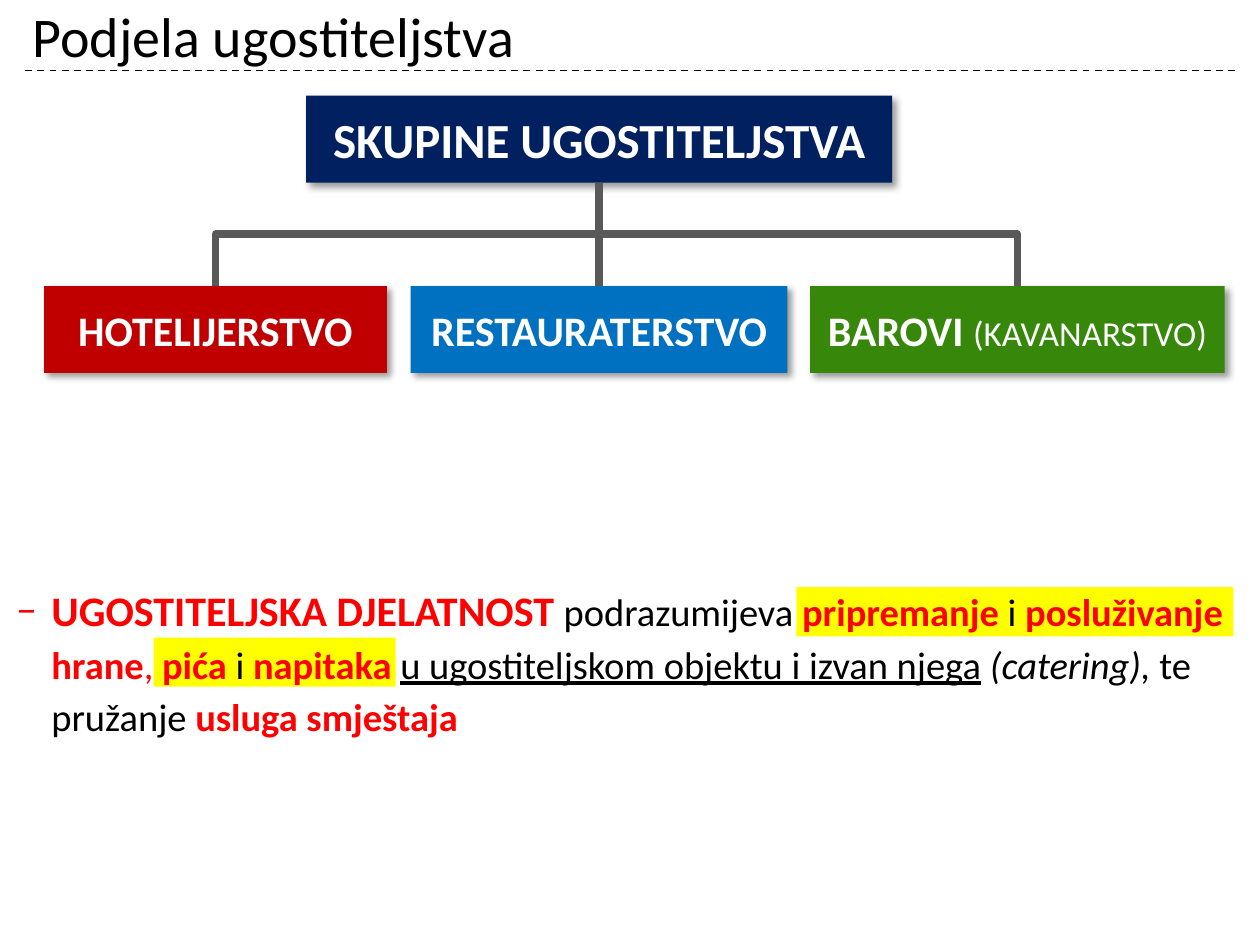
from lxml import etree
from pptx import Presentation
from pptx.dml.color import RGBColor
from pptx.enum.dml import MSO_LINE
from pptx.enum.shapes import MSO_CONNECTOR, MSO_SHAPE
from pptx.enum.text import MSO_ANCHOR, PP_ALIGN
from pptx.oxml.ns import qn
from pptx.util import Inches, Pt

THEME = {
    "font": "Calibri",
    "black": "000000", "white": "FFFFFF", "red": "FF0000",
    "highlight": "FFFF00", "connector": "595959",
    "navy": "002060", "crimson": "C00000", "blue": "0070C0", "green": "37870B",
    "title": 32, "root": 28, "large": 24, "body": 22, "small": 20,
}

TITLE = [("Podjela ugostiteljstva", "title", "black", "")]

# Left, width, fill, runs (text, size, colour, style letters b/i/u)
BOX_HEIGHT = 0.69
ROOT_TOP, GROUP_TOP = 0.76, 2.27
ROOT = (2.43, 4.65, "navy", [("SKUPINE UGOSTITELJSTVA", "root", "white", "b")])
GROUPS = [
    (0.35, 2.72, "crimson", [("HOTELIJERSTVO", "large", "white", "b")]),
    (3.26, 2.99, "blue", [("RESTAURATERSTVO", "large", "white", "b")]),
    (6.43, 3.29, "green", [("BAROVI ", "large", "white", "b"),
                           ("(KAVANARSTVO)", "small", "white", "")]),
]

HIGHLIGHTS = [(6.32, 4.66, 3.47, 0.39), (1.22, 5.06, 1.92, 0.39)]

DEFINITION = [
    ("UGOSTITELJSKA DJELATNOST ", "large", "red", "b"),
    ("podrazumijeva ", "body", "black", ""),
    ("pripremanje", "body", "red", "b"),
    (" i ", "body", "black", ""),
    ("posluživanje hrane", "body", "red", "b"),
    (", ", "body", "red", ""),
    ("pića ", "body", "red", "b"),
    ("i ", "body", "black", ""),
    ("napitaka ", "body", "red", "b"),
    ("u ugostiteljskom objektu i izvan njega", "body", "black", "u"),
    (" ", "body", "black", ""),
    ("(catering), ", "body", "black", "i"),
    ("te pružanje ", "body", "black", ""),
    ("usluga smještaja", "body", "red", "b"),
]


def color(name):
    return RGBColor.from_string(THEME[name])


def add_runs(paragraph, runs):
    for text, size, color_name, style in runs:
        run = paragraph.add_run()
        run.text = text
        font = run.font
        font.name = THEME["font"]
        font.size = Pt(THEME[size])
        font.color.rgb = color(color_name)
        font.bold = "b" in style
        font.italic = "i" in style
        font.underline = "u" in style


def add_text(slide, left, top, width, height, runs, anchor):
    text_box = slide.shapes.add_textbox(*map(Inches, (left, top, width, height)))
    text_frame = text_box.text_frame
    text_frame.word_wrap = True
    text_frame.vertical_anchor = anchor
    add_runs(text_frame.paragraphs[0], runs)
    return text_frame.paragraphs[0]


def add_rectangle(slide, left, top, width, height, fill):
    shape = slide.shapes.add_shape(
        MSO_SHAPE.RECTANGLE, *map(Inches, (left, top, width, height)))
    shape.shadow.inherit = False
    shape.fill.solid()
    shape.fill.fore_color.rgb = color(fill)
    shape.line.fill.background()
    return shape


def add_drop_shadow(shape):
    effects = shape._element.spPr.find(qn("a:effectLst"))
    shadow = etree.SubElement(
        effects, qn("a:outerShdw"), blurRad=str(Pt(4)), dist=str(Pt(3)),
        dir=str(45 * 60000), algn="tl", rotWithShape="0")
    black = etree.SubElement(shadow, qn("a:srgbClr"), val=THEME["black"])
    etree.SubElement(black, qn("a:alpha"), val="40000")


def add_box(slide, top, box):
    left, width, fill, runs = box
    shape = add_rectangle(slide, left, top, width, BOX_HEIGHT, fill)
    add_drop_shadow(shape)
    text_frame = shape.text_frame
    text_frame.word_wrap = False
    text_frame.vertical_anchor = MSO_ANCHOR.MIDDLE
    text_frame.paragraphs[0].alignment = PP_ALIGN.CENTER
    add_runs(text_frame.paragraphs[0], runs)


def add_line(slide, kind, start, end, color_name, width):
    connector = slide.shapes.add_connector(kind, *map(Inches, start + end))
    connector.line.color.rgb = color(color_name)
    connector.line.width = Pt(width)
    etree.SubElement(connector._element.spPr, qn("a:effectLst"))
    return connector


def add_branch(slide, start, end):
    """Elbow that runs down, across and down: a sideways elbow turned about its centre."""
    (x1, y1), (x2, y2) = start, end
    middle_x, middle_y = (x1 + x2) / 2, (y1 + y2) / 2
    half_drop, half_span = (y2 - y1) / 2, abs(x2 - x1) / 2
    connector = add_line(
        slide, MSO_CONNECTOR.ELBOW,
        (middle_x - half_drop, middle_y - half_span),
        (middle_x + half_drop, middle_y + half_span), "connector", 4.5)
    transform = connector._element.spPr.find(qn("a:xfrm"))
    goes_left = x2 < x1
    transform.set("rot", str((90 if goes_left else 270) * 60000))
    if not goes_left:
        transform.set("flipH", "1")


def add_dash_bullet(paragraph):
    properties = paragraph._p.get_or_add_pPr()
    properties.set("marL", str(Inches(0.28)))
    properties.set("indent", str(Inches(-0.28)))
    etree.SubElement(properties, qn("a:buFont"), typeface=THEME["font"])
    etree.SubElement(properties, qn("a:buChar"), char="–")


def main():
    presentation = Presentation()
    presentation.slide_width, presentation.slide_height = Inches(10), Inches(7.5)
    slide = presentation.slides.add_slide(presentation.slide_layouts[6])

    rule = add_line(slide, MSO_CONNECTOR.STRAIGHT, (0.2, 0.56), (9.8, 0.56), "black", 1)
    rule.line.dash_style = MSO_LINE.DASH
    for area in HIGHLIGHTS:
        add_rectangle(slide, *area, "highlight")
    add_text(slide, 0.16, -0.07, 9.84, 0.7, TITLE, MSO_ANCHOR.MIDDLE)

    add_box(slide, ROOT_TOP, ROOT)
    for group in GROUPS:
        add_box(slide, GROUP_TOP, group)
    root_center = ROOT[0] + ROOT[1] / 2
    for left, width, *_ in GROUPS:
        group_center = left + width / 2
        if abs(group_center - root_center) < 0.01:
            group_center = root_center
        add_branch(slide, (root_center, ROOT_TOP + BOX_HEIGHT), (group_center, GROUP_TOP))

    definition = add_text(slide, 0.03, 4.57, 10, 2.93, DEFINITION, MSO_ANCHOR.TOP)
    definition.line_spacing = Pt(30)
    add_dash_bullet(definition)

    presentation.save("out.pptx")


if __name__ == "__main__":
    main()
